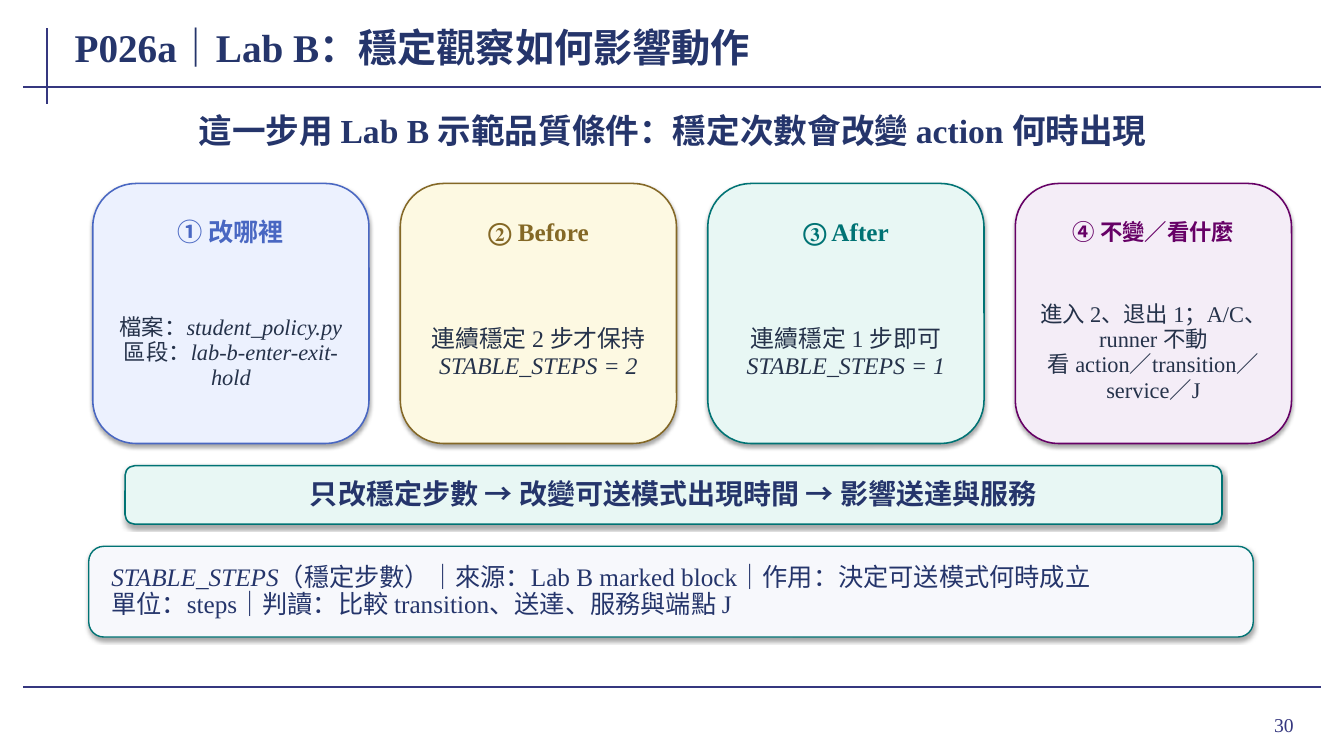
from lxml import etree
from pptx import Presentation
from pptx.dml.color import RGBColor
from pptx.enum.shapes import MSO_CONNECTOR, MSO_SHAPE
from pptx.enum.text import MSO_ANCHOR, MSO_AUTO_SIZE, PP_ALIGN
from pptx.oxml.ns import qn
from pptx.util import Inches, Pt

LEFT, CENTER, RIGHT = PP_ALIGN.LEFT, PP_ALIGN.CENTER, PP_ALIGN.RIGHT
MIDDLE, NO_FIT = MSO_ANCHOR.MIDDLE, MSO_AUTO_SIZE.NONE
ROUNDED, STRAIGHT = MSO_SHAPE.ROUNDED_RECTANGLE, MSO_CONNECTOR.STRAIGHT

FONT = "Times New Roman"
NAVY, INK, RULE, TEAL, MINT = "25356B", "25324A", "35377F", "007374", "E8F7F4"

TITLE = "P026a｜Lab B：穩定觀察如何影響動作"
SUBTITLE = "這一步用 Lab B 示範品質條件：穩定次數會改變 action 何時出現"
CARDS = [
    dict(heading="① 改哪裡", heading_size=18, body_size=16, fill="ECF1FE", accent="4967C2",
         body=["檔案：*student_policy.py*", "區段：*lab-b-enter-exit-hold*"]),
    dict(heading="② Before", heading_size=18, body_size=17, fill="FDF9E2", accent="846826",
         body=["連續穩定 2 步才保持", "*STABLE_STEPS = 2*"]),
    dict(heading="③ After", heading_size=18, body_size=17, fill=MINT, accent=TEAL,
         body=["連續穩定 1 步即可", "*STABLE_STEPS = 1*"]),
    dict(heading="④ 不變／看什麼", heading_size=16, body_size=16, fill="F4EDF7", accent="660066",
         body=["進入 2、退出 1；A/C、runner 不動", "看 action／transition／service／J"]),
]
SUMMARY = "只改穩定步數 → 改變可送模式出現時間 → 影響送達與服務"
DEFINITION = [
    "*STABLE_STEPS*（穩定步數）｜來源：Lab B marked block｜作用：決定可送模式何時成立",
    "單位：steps｜判讀：比較 transition、送達、服務與端點 J",
]
PAGE_NUMBER = "30"

RULES = [(0.47, 0.28, 0.47, 1.03), (0.23, 0.86, 13.1, 0.86), (0.23, 6.82, 13.1, 6.82)]
CARD_LEFT, CARD_TOP, CARD_WIDTH, CARD_HEIGHT, CARD_PITCH = 0.92, 1.82, 2.74, 2.58, 3.05
HEADING_INSET, BODY_INSET = 0.16, 0.18

prs = Presentation()
prs.slide_width, prs.slide_height = Inches(13.33), Inches(7.5)
slide = prs.slides.add_slide(prs.slide_layouts[5])


def color(value):
    return RGBColor.from_string(value)


def write(holder, paragraphs, size, ink=NAVY, bold=False, align=CENTER, spacing=1.0,
          margins=(0.02, 0)):
    frame = holder.text_frame
    frame.word_wrap, frame.auto_size, frame.vertical_anchor = True, NO_FIT, MIDDLE
    frame.margin_left = frame.margin_right = Inches(margins[0])
    frame.margin_top = frame.margin_bottom = Inches(margins[1])
    for index, text in enumerate(paragraphs):
        paragraph = frame.add_paragraph() if index else frame.paragraphs[0]
        paragraph.alignment, paragraph.line_spacing = align, spacing
        for part, words in enumerate(text.split("*")):
            if words:
                run = paragraph.add_run()
                run.text = words
                run.font.name, run.font.size = FONT, Pt(size)
                run.font.bold, run.font.italic = bold, part % 2 == 1
                run.font.color.rgb = color(ink)


def text_box(left, top, width, height, paragraphs, **style):
    box = slide.shapes.add_textbox(*map(Inches, (left, top, width, height)))
    write(box, paragraphs, **style)


def panel(left, top, width, height, fill, accent, line_width=1.1):
    shape = slide.shapes.add_shape(ROUNDED, *map(Inches, (left, top, width, height)))
    shape.fill.solid()
    shape.fill.fore_color.rgb = color(fill)
    shape.line.color.rgb = color(accent)
    shape.line.width = Pt(line_width)
    shape.shadow.inherit = False
    effects = shape._element.spPr.find(qn("a:effectLst"))
    shadow = etree.SubElement(effects, qn("a:outerShdw"), blurRad=str(Pt(3.1)),
                              dist=str(Pt(1.8)), dir="5400000", rotWithShape="0")
    black = etree.SubElement(shadow, qn("a:srgbClr"), val="000000")
    etree.SubElement(black, qn("a:alpha"), val="35000")
    return shape


for ends in RULES:
    rule = slide.shapes.add_connector(STRAIGHT, *map(Inches, ends))
    rule.line.color.rgb = color(RULE)
    rule.line.width = Pt(1.5)
    etree.SubElement(rule._element.spPr, qn("a:effectLst"))

title = slide.shapes.title
title.left, title.top, title.width, title.height = map(Inches, (0.72, 0.2, 10.35, 0.53))
write(title, [TITLE], size=28, bold=True, align=LEFT)
text_box(1.02, 1.05, 11.3, 0.52, [SUBTITLE], size=24, bold=True, spacing=0.96)

for column, card in enumerate(CARDS):
    left = CARD_LEFT + column * CARD_PITCH
    panel(left, CARD_TOP, CARD_WIDTH, CARD_HEIGHT, card["fill"], card["accent"])
    text_box(left + HEADING_INSET, CARD_TOP + 0.2, CARD_WIDTH - 2 * HEADING_INSET, 0.58,
             [card["heading"]], size=card["heading_size"], ink=card["accent"], bold=True,
             spacing=0.92, margins=(0.03, 0.01))
    text_box(left + BODY_INSET, CARD_TOP + 0.98, CARD_WIDTH - 2 * BODY_INSET, 1.4,
             card["body"], size=card["body_size"], ink=INK, spacing=0.94, margins=(0.05, 0.01))

summary = panel(1.24, 4.62, 10.88, 0.58, MINT, TEAL)
write(summary, [SUMMARY], size=20, bold=True, spacing=0.95, margins=(0.12, 0.04))
definition = panel(0.88, 5.42, 11.55, 0.9, "F7F8FC", TEAL, line_width=1)
write(definition, DEFINITION, size=18, align=LEFT, spacing=0.9, margins=(0.18, 0.03))
text_box(11.96, 6.93, 0.97, 0.52, [PAGE_NUMBER], size=14, ink=RULE, align=RIGHT,
         margins=(0.1, 0.05))

prs.save("out.pptx")
